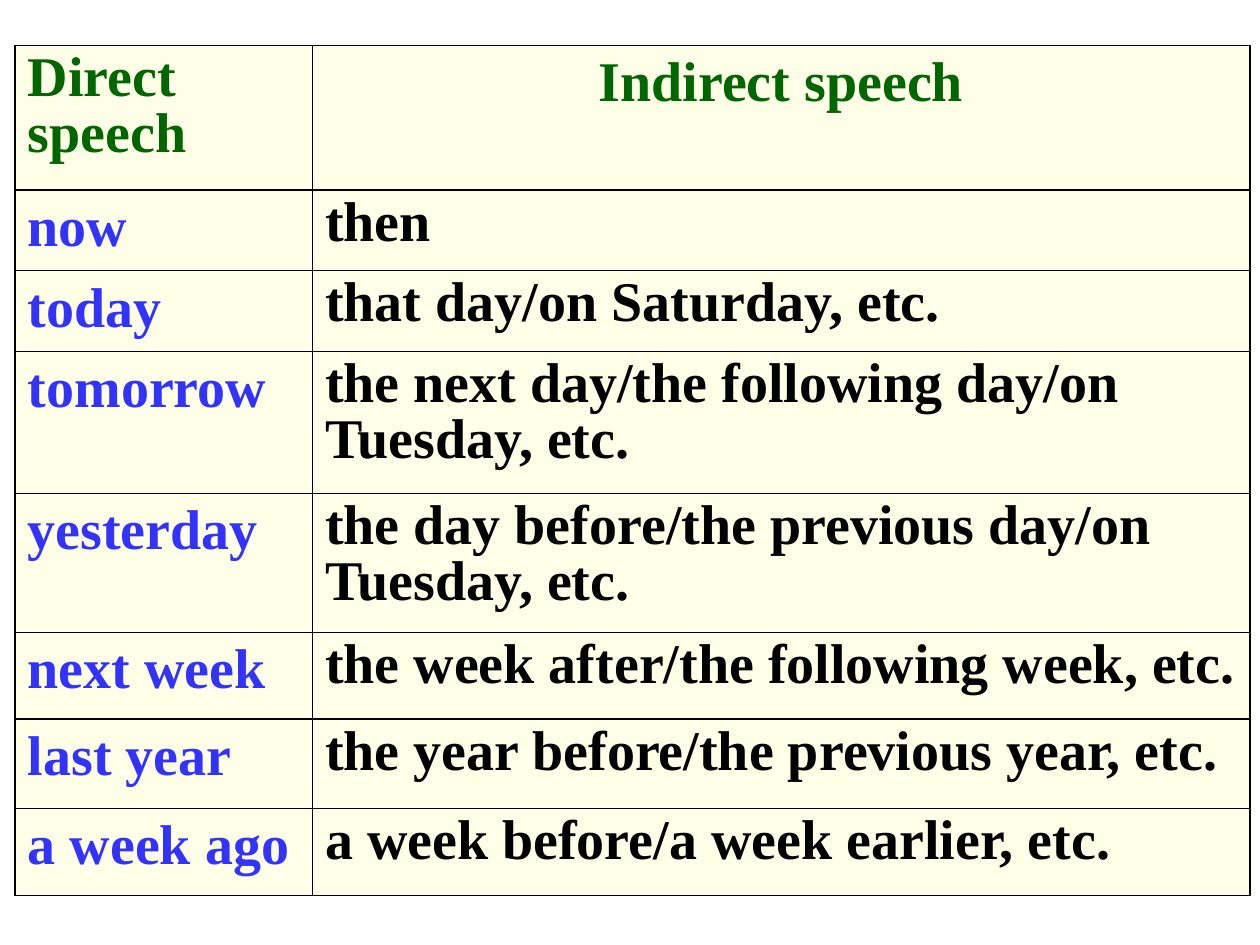
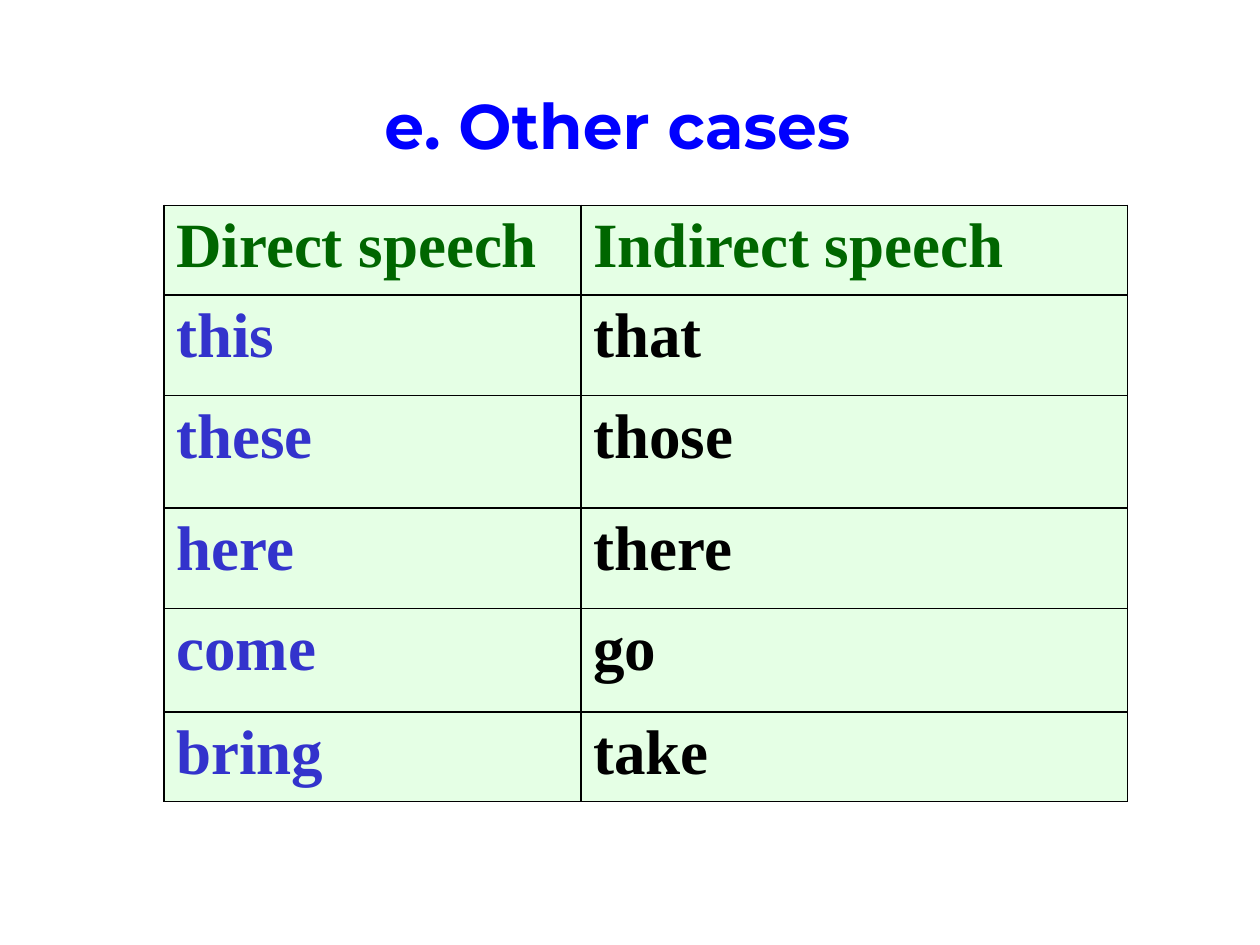
from dataclasses import dataclass
from typing import Optional

from lxml import etree
from pptx import Presentation, util as u
from pptx.dml.color import RGBColor
from pptx.enum import text as t
from pptx.oxml.ns import qn

GREEN = RGBColor(0x00, 0x66, 0x00)
BLUE = RGBColor(0x00, 0x00, 0xFF)
BLACK = RGBColor(0x00, 0x00, 0x00)
SKY = RGBColor(0x33, 0x33, 0xFF)
INDIGO = RGBColor(0x33, 0x33, 0xCC)
CREAM = RGBColor(0xFF, 0xFF, 0xE7)
MINT = RGBColor(0xCC, 0xFF, 0xCC)

WIDTH, HEIGHT = u.Inches(10), u.Inches(7.5)
TABLE_FONT, TITLE_FONT = "Times New Roman", "Montserrat"
HEADINGS = ("Direct speech", "Indirect speech")
TITLE_ONLY, BLANK = 5, 6


@dataclass(frozen=True)
class SpeechTable:
    left: float
    top: float
    columns: tuple[float, ...]
    heights: tuple[float, ...]
    pairs: tuple[tuple[str, str], ...]
    size: int
    direct_color: RGBColor
    fill: RGBColor
    opacity: int = 100
    tight: Optional[float] = None
    center_heading: bool = False


TIME_WORDS = SpeechTable(
    left=1.2, top=4.8, columns=(23.6, 74.4),
    heights=(15.33, 8.53, 8.53, 15.07, 14.67, 9.2, 9.47, 9.2),
    pairs=(
        ("now", "then"),
        ("today", "that day/on Saturday, etc."),
        ("tomorrow", "the next day/the following day/on Tuesday, etc."),
        ("yesterday", "the day before/the previous day/on Tuesday, etc."),
        ("next week", "the week after/the following week, etc."),
        ("last year", "the year before/the previous year, etc."),
        ("a week ago", "a week before/a week earlier, etc."),
    ),
    size=32, direct_color=SKY, fill=CREAM, tight=0.9, center_heading=True,
)

OTHER_CASES = SpeechTable(
    left=13, top=21.73, columns=(33.1, 43.4),
    heights=(9.47, 10.67, 11.87, 10.67, 10.93, 9.47),
    pairs=(("this", "that"), ("these", "those"), ("here", "there"),
           ("come", "go"), ("bring", "take")),
    size=36, direct_color=INDIGO, fill=MINT, opacity=50,
)


def across(percent: float) -> int:
    return round(WIDTH * percent / 100)


def down(percent: float) -> int:
    return round(HEIGHT * percent / 100)


def write(frame, words: str, *, font: str, size: int, color: RGBColor,
          align=t.PP_ALIGN.LEFT, spacing: Optional[float] = None) -> None:
    para = frame.paragraphs[0]
    para.alignment = align
    if spacing:
        para.line_spacing = spacing
    span = para.add_run()
    span.text = words
    span.font.name = font
    span.font.size = u.Pt(size)
    span.font.bold = True
    span.font.color.rgb = color


def paint_cell(cell, fill: RGBColor, opacity: int) -> None:
    cell.fill.solid()
    cell.fill.fore_color.rgb = fill
    properties = cell._tc.get_or_add_tcPr()
    if opacity < 100:
        tint = properties.find(".//" + qn("a:srgbClr"))
        etree.SubElement(tint, qn("a:alpha"), val=str(opacity * 1000))
    for position, side in enumerate(("lnL", "lnR", "lnT", "lnB")):
        border = etree.Element(qn(f"a:{side}"), w=str(u.Pt(1)))
        solid = etree.SubElement(border, qn("a:solidFill"))
        etree.SubElement(solid, qn("a:srgbClr"), val=str(BLACK))
        properties.insert(position, border)


def draw_table(page, design: SpeechTable) -> None:
    rows = (HEADINGS, *design.pairs)
    table = page.shapes.add_table(
        len(rows), len(design.columns), across(design.left), down(design.top),
        across(sum(design.columns)), down(sum(design.heights))).table
    table.first_row = table.horz_banding = False
    for column, width in zip(table.columns, design.columns):
        column.width = across(width)
    for row, height in zip(table.rows, design.heights):
        row.height = down(height)
    for r, words in enumerate(rows):
        for c, word in enumerate(words):
            heading, indirect = r == 0, c == 1
            cell = table.cell(r, c)
            paint_cell(cell, design.fill, design.opacity)
            centered = heading and indirect and design.center_heading
            write(cell.text_frame, word, font=TABLE_FONT, size=design.size,
                  color=GREEN if heading else BLACK if indirect else design.direct_color,
                  align=t.PP_ALIGN.CENTER if centered else t.PP_ALIGN.LEFT,
                  spacing=design.tight if heading != indirect else None)


def draw_title(page, words: str) -> None:
    box = page.shapes.title
    box.left, box.top = across(29.5), down(9.07)
    box.width, box.height = across(51.2), down(8.93)
    frame = box.text_frame
    frame.word_wrap = True
    frame.vertical_anchor = t.MSO_ANCHOR.TOP
    frame.auto_size = t.MSO_AUTO_SIZE.SHAPE_TO_FIT_TEXT
    write(frame, words, font=TITLE_FONT, size=36, color=BLUE, spacing=0.95)


def main() -> None:
    deck = Presentation()
    deck.slide_width, deck.slide_height = WIDTH, HEIGHT
    draw_table(deck.slides.add_slide(deck.slide_layouts[BLANK]), TIME_WORDS)
    page = deck.slides.add_slide(deck.slide_layouts[TITLE_ONLY])
    draw_title(page, "e. Other cases")
    draw_table(page, OTHER_CASES)
    deck.save("out.pptx")


if __name__ == "__main__":
    main()
